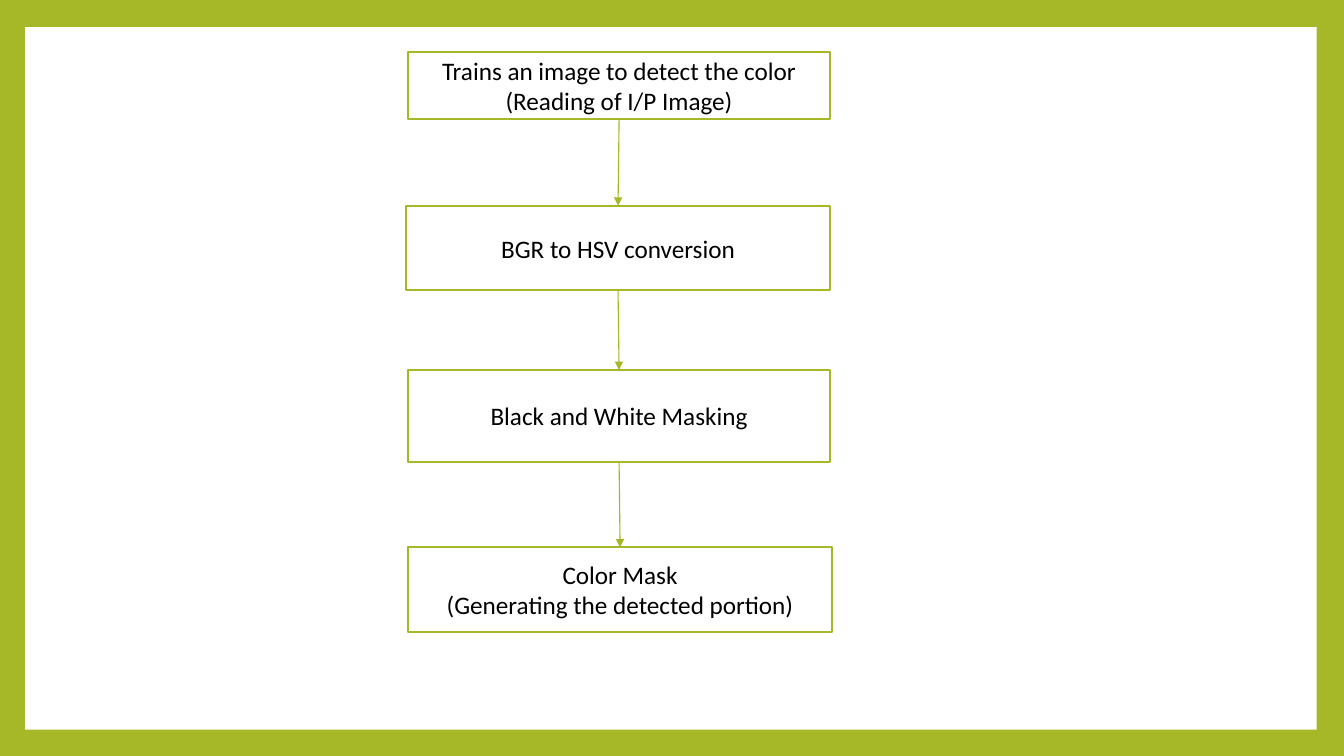
"""Build a flowchart slide of the colour detection steps."""
from dataclasses import dataclass
from itertools import pairwise

from lxml import etree
from pptx import Presentation
from pptx.dml.color import RGBColor
from pptx.enum.shapes import MSO_CONNECTOR, MSO_SHAPE
from pptx.enum.text import MSO_ANCHOR, PP_ALIGN
from pptx.oxml.ns import qn
from pptx.util import Inches, Pt

RECT = MSO_SHAPE.RECTANGLE
STRAIGHT = MSO_CONNECTOR.STRAIGHT
MIDDLE = MSO_ANCHOR.MIDDLE
CENTER = PP_ALIGN.CENTER
BOTTOM_SITE, TOP_SITE = 2, 0
GREEN, WHITE, BLACK = "A6B727", "FFFFFF", "000000"


@dataclass(frozen=True)
class Step:
    left: float
    top: float
    width: float
    height: float
    lines: tuple[str, ...]


STEPS = (
    Step(4.05, 0.52, 4.19, 0.66,
         ("Trains an image to detect the color", "(Reading of I/P Image)")),
    Step(4.03, 2.04, 4.21, 0.84, ("BGR to HSV conversion",)),
    Step(4.05, 3.67, 4.19, 0.91, ("Black and White Masking",)),
    Step(4.05, 5.43, 4.21, 0.84,
         ("Color Mask", "(Generating the detected portion)")),
)


def rgb(value: str) -> RGBColor:
    return RGBColor.from_string(value)


def add_rect(s, left: float, top: float, width: float, height: float):
    sp = s.shapes.add_shape(RECT, Inches(left), Inches(top),
                            Inches(width), Inches(height))
    sp.shadow.inherit = False
    sp.fill.solid()
    sp.fill.fore_color.rgb = rgb(WHITE)
    sp.line.fill.background()
    return sp


def write(p, text: str, *, size: float = 18, font: str = "Calibri",
          color: str = BLACK, align=CENTER) -> None:
    p.alignment = align
    r = p.add_run()
    r.text = text
    r.font.size = Pt(size)
    r.font.name = font
    r.font.color.rgb = rgb(color)


def add_step(s, step: Step):
    sp = add_rect(s, step.left, step.top, step.width, step.height)
    sp.line.color.rgb = rgb(GREEN)
    sp.line.width = Pt(1.5)
    tf = sp.text_frame
    tf.word_wrap = True
    tf.vertical_anchor = MIDDLE
    for i, text in enumerate(step.lines):
        write(tf.add_paragraph() if i else tf.paragraphs[0], text)
    return sp


def add_arrow(s, start, end) -> None:
    cxn = s.shapes.add_connector(STRAIGHT, 0, 0, 0, 0)
    cxn.begin_connect(start, BOTTOM_SITE)
    cxn.end_connect(end, TOP_SITE)
    cxn.line.color.rgb = rgb(GREEN)
    cxn.line.width = Pt(0.79)
    ln = cxn.line._get_or_add_ln()
    etree.SubElement(ln, qn("a:tailEnd"), type="triangle")
    etree.SubElement(cxn._element.spPr, qn("a:effectLst"))


def main() -> None:
    prs = Presentation()
    prs.slide_width, prs.slide_height = Inches(13.34), Inches(7.5)
    s = prs.slides.add_slide(prs.slide_layouts[6])
    s.background.fill.solid()
    s.background.fill.fore_color.rgb = rgb(GREEN)
    add_rect(s, 0.25, 0.27, 12.82, 6.97)
    boxes = [add_step(s, step) for step in STEPS]
    for start, end in pairwise(boxes):
        add_arrow(s, start, end)
    prs.save("out.pptx")


if __name__ == "__main__":
    main()
